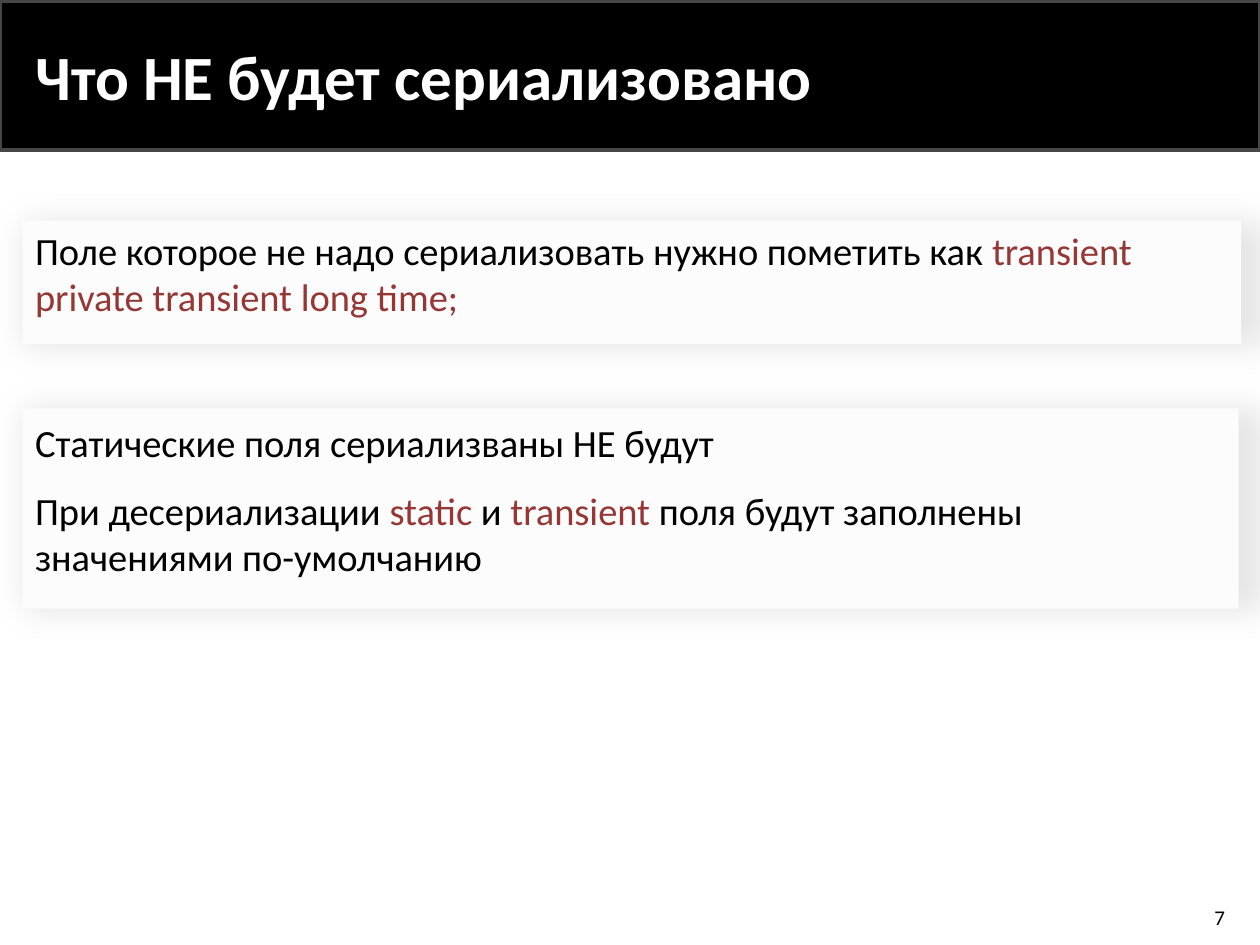
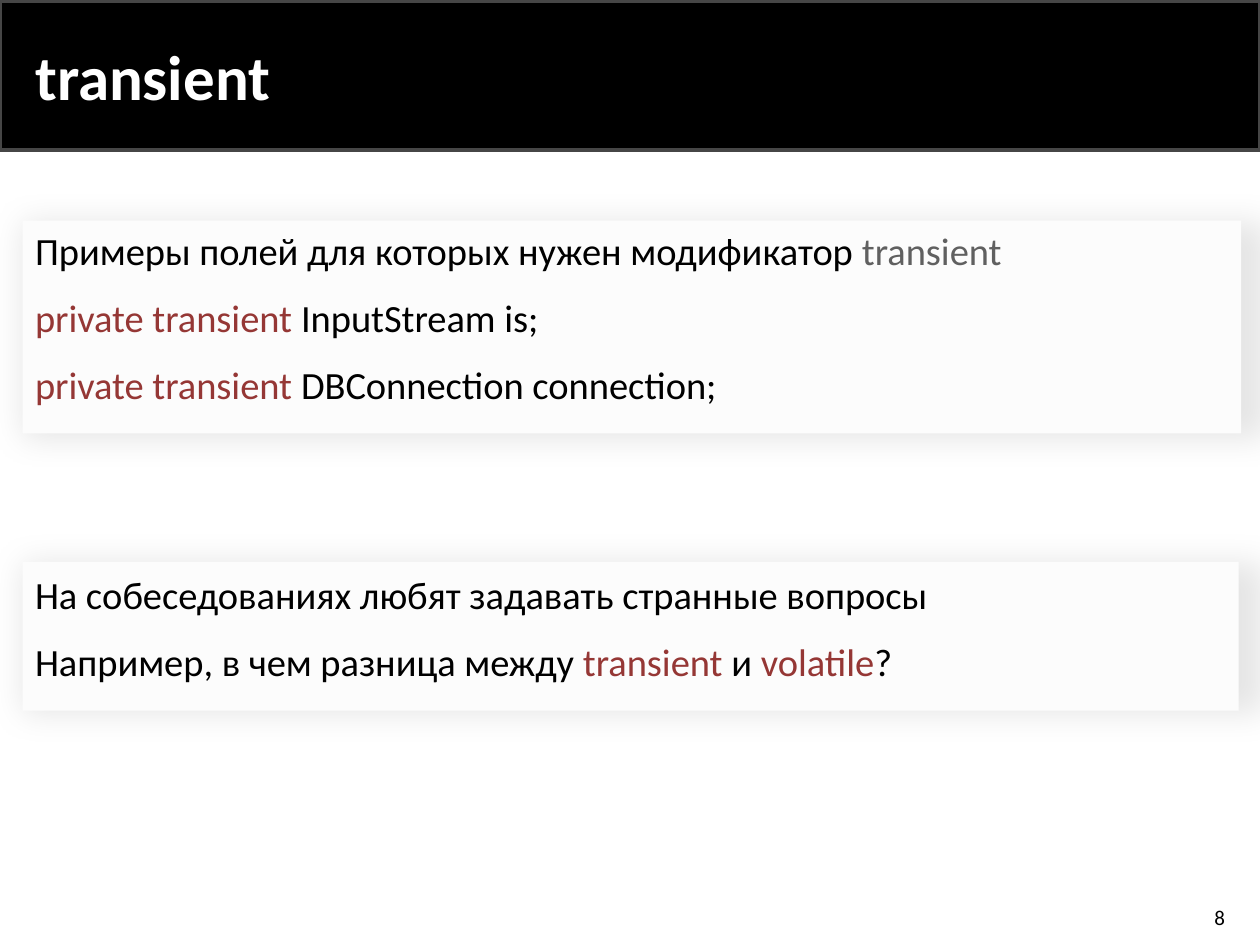
from dataclasses import dataclass

from lxml import etree
from pptx import Presentation
from pptx.dml.color import RGBColor
from pptx.enum.shapes import MSO_SHAPE
from pptx.enum.text import MSO_ANCHOR, PP_ALIGN
from pptx.oxml.ns import qn
from pptx.util import Emu, Pt

RECTANGLE = MSO_SHAPE.RECTANGLE
LEFT, RIGHT = PP_ALIGN.LEFT, PP_ALIGN.RIGHT
TOP, MIDDLE = MSO_ANCHOR.TOP, MSO_ANCHOR.MIDDLE

EMU_PER_PX = 9144  # 100 px to the inch
FONT = "Calibri"
COLOURS = {
    "text": "000000",
    "title": "FFFFFF",
    "keyword": "953735",
    "muted": "606060",
    "band": "000000",
    "band_line": "464646",
    "panel": "FCFCFC",
    "shadow": "000000",
}
SLIDE_WIDTH, SLIDE_HEIGHT = 1000, 750
MARGIN = 18
TEXT_WIDTH = 967
FIRST_NUMBER = 7
TITLE_ONLY = 5

Run = tuple[str, str]  # wording and colour name
Paragraph = list[Run]


@dataclass
class Panel:
    top: int
    width: int
    height: int
    text_top: int
    text_height: int
    paragraphs: list[Paragraph]


@dataclass
class Page:
    title: str
    panels: list[Panel]


PAGES = [
    Page("Что НЕ будет сериализовано", [
        Panel(175, 967, 98, 175, 84, [
            [("Поле которое не надо сериализовать нужно пометить как ", "text"),
             ("transient\nprivate transient long time;", "keyword")],
        ]),
        Panel(324, 965, 159, 328, 138, [
            [("Статические поля сериализваны НЕ будут", "text")],
            [("При десериализации ", "text"), ("static", "keyword"),
             (" и ", "text"), ("transient", "keyword"),
             (" поля будут заполнены\nзначениями по-умолчанию", "text")],
        ]),
    ]),
    Page("transient", [
        Panel(175, 967, 169, 175, 155, [
            [("Примеры полей для которых нужен модификатор ", "text"),
             ("transient", "muted")],
            [("private transient ", "keyword"), ("InputStream is;", "text")],
            [("private transient ", "keyword"),
             ("DBConnection connection;", "text")],
        ]),
        Panel(446, 965, 118, 448, 101, [
            [("На собеседованиях любят задавать странные вопросы", "text")],
            [("Например, в чем разница между ", "text"),
             ("transient ", "keyword"), ("и ", "text"),
             ("volatile", "keyword"), ("?", "text")],
        ]),
    ]),
]


def px(length: int) -> Emu:
    return Emu(length * EMU_PER_PX)


def colour(name: str) -> RGBColor:
    return RGBColor.from_string(COLOURS[name])


def place(shape, left: int, top: int, width: int, height: int) -> None:
    shape.left, shape.top = px(left), px(top)
    shape.width, shape.height = px(width), px(height)


def write(frame, paragraphs: list[Paragraph], *, size: int, bold: bool = False,
          align=LEFT, anchor=TOP, spacing: int = 0) -> None:
    """Fill a text frame; a newline inside a run becomes a line break."""
    frame.word_wrap = True
    frame.vertical_anchor = anchor
    for index, runs in enumerate(paragraphs):
        paragraph = frame.add_paragraph() if index else frame.paragraphs[0]
        paragraph.alignment = align
        paragraph.space_before = paragraph.space_after = Pt(spacing)
        for wording, colour_name in runs:
            for line_index, line in enumerate(wording.split("\n")):
                if line_index:
                    paragraph.add_line_break()
                run = paragraph.add_run()
                run.text = line
                run.font.name = FONT
                run.font.size = Pt(size)
                run.font.bold = bold
                run.font.color.rgb = colour(colour_name)


def add_rectangle(slide, left: int, top: int, width: int, height: int,
                  fill: str):
    rectangle = slide.shapes.add_shape(
        RECTANGLE, px(left), px(top), px(width), px(height))
    rectangle.shadow.inherit = False
    rectangle.fill.solid()
    rectangle.fill.fore_color.rgb = colour(fill)
    rectangle.line.fill.background()
    return rectangle


def add_text(slide, left: int, top: int, width: int, height: int,
             paragraphs: list[Paragraph], **text_format) -> None:
    box = slide.shapes.add_textbox(px(left), px(top), px(width), px(height))
    write(box.text_frame, paragraphs, **text_format)


def add_soft_shadow(shape) -> None:
    effects = shape.element.spPr.find(qn("a:effectLst"))
    shadow = etree.SubElement(
        effects, qn("a:outerShdw"), blurRad=str(Pt(19)), sx="102000",
        sy="102000", algn="tl", rotWithShape="0")
    tint = etree.SubElement(shadow, qn("a:srgbClr"), val=COLOURS["shadow"])
    etree.SubElement(tint, qn("a:alpha"), val="10000")


def prepare_layout(layout, slide) -> None:
    """Put the title band and title position on the layout."""
    band = add_rectangle(slide, 0, 1, SLIDE_WIDTH, 118, "band")
    band.line.color.rgb = colour("band_line")
    band.line.width = Pt(2)
    layout.shapes.element.insert(2, band.element)
    place(layout.placeholders[0], MARGIN, 10, 815, 100)


def draw_page(slide, page: Page, number: int) -> None:
    write(slide.shapes.title.text_frame, [[(page.title, "title")]],
          size=36, bold=True, anchor=MIDDLE)
    for panel in reversed(page.panels):
        add_soft_shadow(add_rectangle(
            slide, MARGIN, panel.top, panel.width, panel.height, "panel"))
    add_text(slide, 754, 713, 228, 30, [[(str(number), "text")]],
             size=12, align=RIGHT, anchor=MIDDLE)
    for panel in page.panels:
        add_text(slide, MARGIN, panel.text_top, TEXT_WIDTH, panel.text_height,
                 panel.paragraphs, size=22, spacing=6)


def main() -> None:
    deck = Presentation()
    deck.slide_width, deck.slide_height = px(SLIDE_WIDTH), px(SLIDE_HEIGHT)
    layout = deck.slide_layouts[TITLE_ONLY]
    slides = [deck.slides.add_slide(layout) for _ in PAGES]
    prepare_layout(layout, slides[0])
    for number, (slide, page) in enumerate(zip(slides, PAGES), FIRST_NUMBER):
        draw_page(slide, page, number)
    deck.save("out.pptx")


if __name__ == "__main__":
    main()
